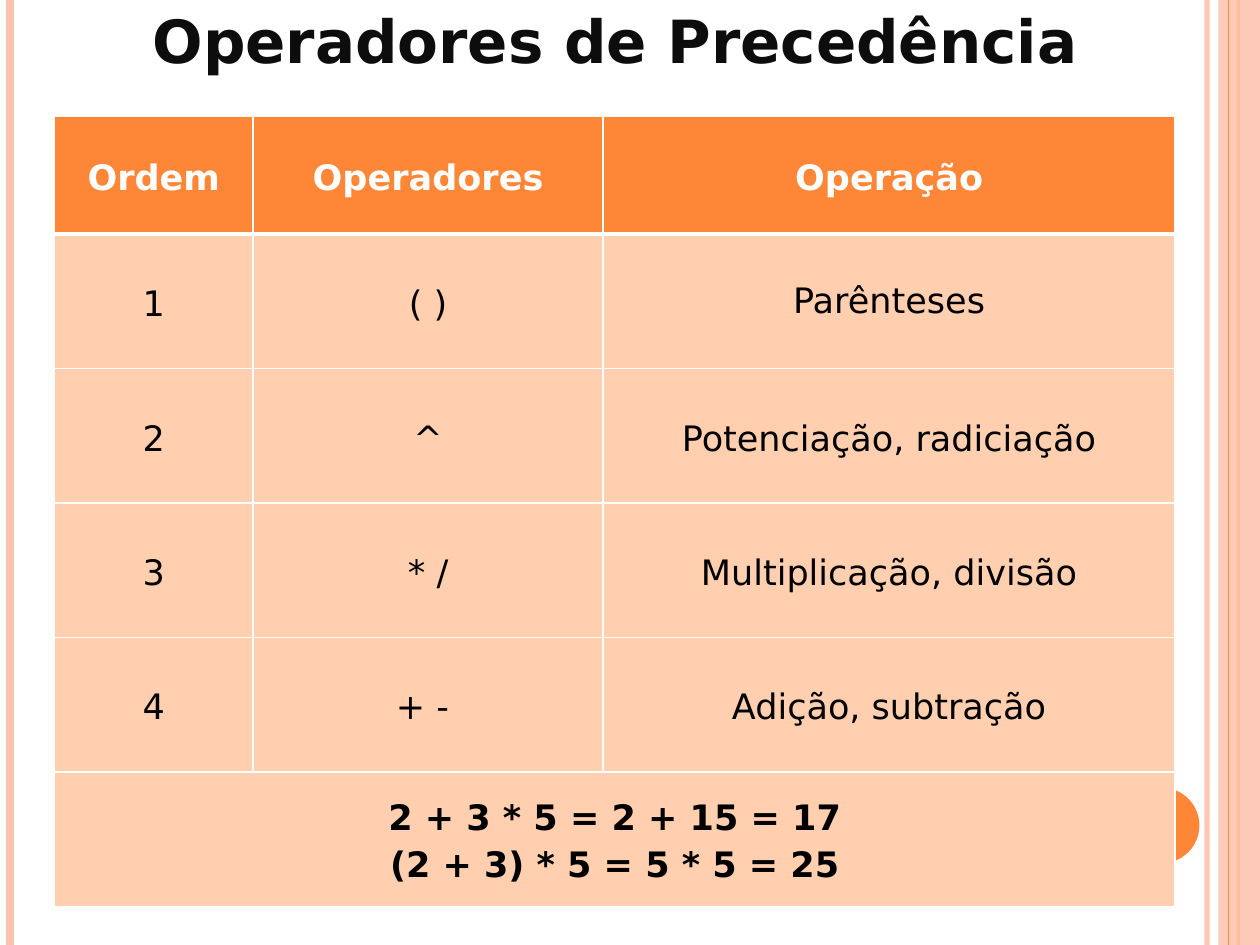
from lxml.etree import SubElement
from pptx import Presentation
from pptx.dml.color import RGBColor
from pptx.enum.shapes import MSO_CONNECTOR, MSO_SHAPE
from pptx.enum.text import MSO_ANCHOR, PP_ALIGN
from pptx.oxml.ns import qn
from pptx.util import Cm, Pt

# Content
TITLE = "Operadores de Precedência"
HEADER = ("Ordem", "Operadores", "Operação")
ROWS = [
    ("1", "( )", "Parênteses"),
    ("2", "^", "Potenciação, radiciação"),
    ("3", "* /", "Multiplicação, divisão"),
    ("4", "+ - ", "Adição, subtração"),
]
EXAMPLES = "2 + 3 * 5 = 2 + 15 = 17\n(2 + 3) * 5 = 5 * 5 = 25"

# Style
FONT = "DejaVu Sans"
COLORS = {"orange": "FE8637", "pink": "FEC3AE", "peach": "FFCFAF",
          "white": "FFFFFF", "black": "000000", "title": "0D0D0D"}
WIDTH, HEIGHT = Cm(25.4), Cm(19.05)
COLUMN_WIDTHS = (Cm(4), Cm(7.06), Cm(11.53))
HEADER_HEIGHT, ROW_HEIGHT = Cm(2.38), Cm(2.71)

# Vertical rules: x in cm, colour, points, opacity in percent
RULES_BEHIND = [(24.33, "pink", 3, 93), (0.21, "pink", 4.5, 100),
                (24.97, "orange", 1.5, 100)]
RULES_FRONT = [(24.77, "orange", 0.75, 100)]


def rgb(name):
    return RGBColor.from_string(COLORS[name])


def set_opacity(properties, percent):
    color = next(properties.iter(qn("a:srgbClr")))
    SubElement(color, qn("a:alpha"), val=str(percent * 1000))


def add_rule(slide, x, color, points, opacity):
    rule = slide.shapes.add_connector(MSO_CONNECTOR.STRAIGHT, Cm(x), 0, Cm(x), HEIGHT)
    rule.line.color.rgb = rgb(color)
    rule.line.width = Pt(points)
    properties = rule._element.spPr
    if opacity < 100:
        set_opacity(properties, opacity)
    SubElement(properties, qn("a:effectLst"))


def add_decoration(slide, kind, left, top, width, height, color):
    shape = slide.shapes.add_shape(kind, left, top, width, height)
    shape.shadow.inherit = False
    shape.fill.solid()
    shape.fill.fore_color.rgb = rgb(color)
    shape.line.fill.background()
    return shape


def format_text(text_frame, size, color, bold, spacing=None):
    for paragraph in text_frame.paragraphs:
        paragraph.alignment = PP_ALIGN.CENTER
        paragraph.line_spacing = spacing
        for run in paragraph.runs:
            run.font.name = FONT
            run.font.size = Pt(size)
            run.font.bold = bold
            run.font.color.rgb = rgb(color)


def add_borders(cell, points_by_side):
    properties = cell._tc.get_or_add_tcPr()
    for side, points in points_by_side.items():
        line = SubElement(properties, qn(f"a:ln{side}"), w=str(Pt(points)))
        fill = SubElement(line, qn("a:solidFill"))
        SubElement(fill, qn("a:srgbClr"), val=COLORS["white"])


def format_cell(cell, text, row, last_row):
    is_header = row == 0
    add_borders(cell, {"L": 1, "R": 1, "T": 3 if row == 1 else 1,
                       "B": 3 if is_header else 1})
    cell.fill.solid()
    cell.fill.fore_color.rgb = rgb("orange" if is_header else "peach")
    cell.vertical_anchor = MSO_ANCHOR.MIDDLE
    cell.margin_left = cell.margin_right = Cm(0.18)
    cell.margin_top = cell.margin_bottom = 0
    cell.text_frame.text = text
    format_text(cell.text_frame, 20, "white" if is_header else "black",
                row in (0, last_row), 1 if text == "Parênteses" else 1.15)


def add_operator_table(slide):
    grid = [HEADER, *ROWS, (EXAMPLES, "", "")]
    last_row = len(grid) - 1
    frame = slide.shapes.add_table(
        len(grid), len(HEADER), Cm(1.1), Cm(2.34),
        sum(COLUMN_WIDTHS), HEADER_HEIGHT + last_row * ROW_HEIGHT)
    table = frame.table
    for column, width in zip(table.columns, COLUMN_WIDTHS):
        column.width = width
    for row, texts in enumerate(grid):
        table.rows[row].height = ROW_HEIGHT if row else HEADER_HEIGHT
        for column, text in enumerate(texts):
            format_cell(table.cell(row, column), text, row, last_row)
    table.cell(last_row, 0).merge(table.cell(last_row, len(HEADER) - 1))


def main():
    presentation = Presentation()
    presentation.slide_width, presentation.slide_height = WIDTH, HEIGHT
    slide = presentation.slides.add_slide(presentation.slide_layouts[5])

    # Side decoration
    for rule in RULES_BEHIND:
        add_rule(slide, *rule)
    band = add_decoration(slide, MSO_SHAPE.RECTANGLE, Cm(24.56), 0,
                          Cm(0.84), HEIGHT, "pink")
    set_opacity(band._element.spPr, 87)
    for rule in RULES_FRONT:
        add_rule(slide, *rule)
    add_decoration(slide, MSO_SHAPE.OVAL, Cm(22.66), Cm(15.88),
                   Cm(1.52), Cm(1.52), "orange")

    # Title
    title = slide.shapes.title
    title.left, title.top, title.width, title.height = Cm(0.3), Cm(-0.05), Cm(24.2), Cm(1.7)
    title.text_frame.text = TITLE
    title.text_frame.vertical_anchor = MSO_ANCHOR.MIDDLE
    format_text(title.text_frame, 34, "title", True)

    # Table
    add_operator_table(slide)
    presentation.save("out.pptx")


if __name__ == "__main__":
    main()
